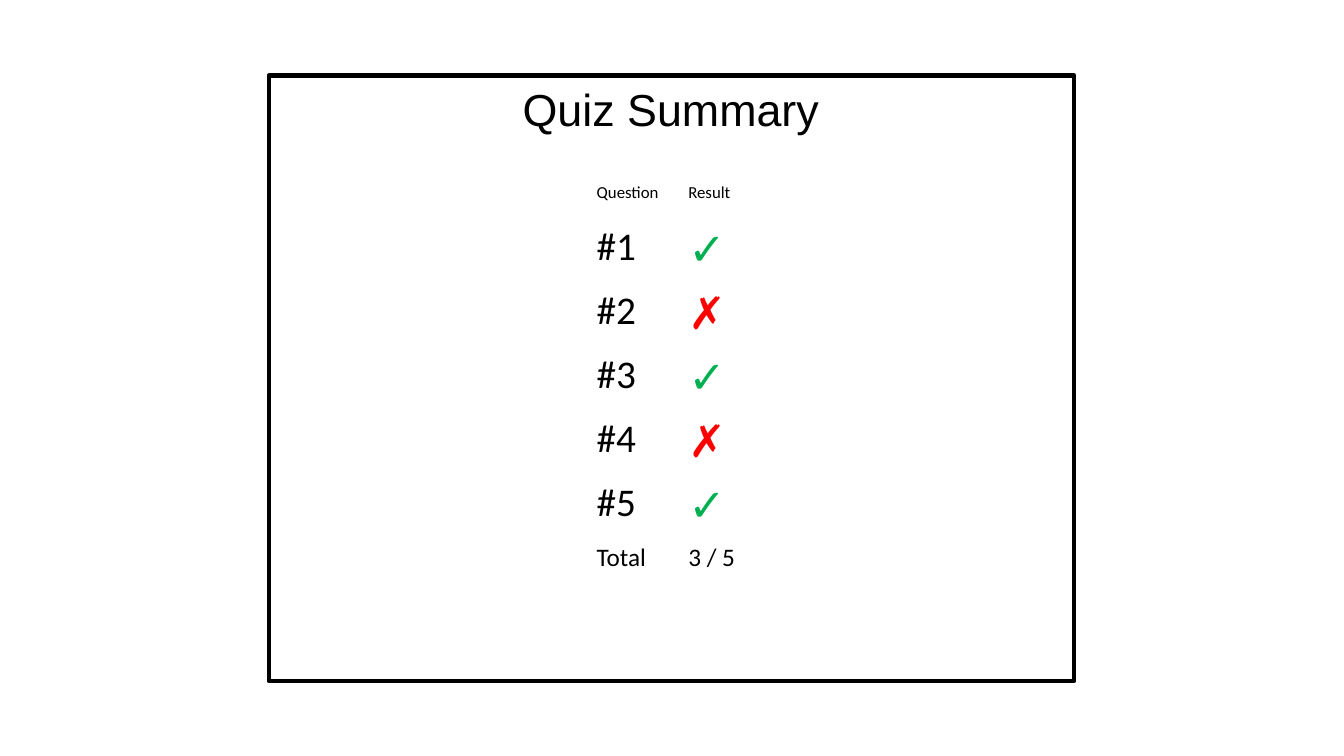
from pptx import Presentation
from pptx.dml.color import RGBColor
from pptx.enum.shapes import MSO_SHAPE as Shape
from pptx.enum.text import MSO_AUTO_SIZE as Fit, PP_ALIGN as Align
from pptx.util import Pt

BLACK = RGBColor(0x00, 0x00, 0x00)
GREEN = RGBColor(0x00, 0xB0, 0x50)
RED = RGBColor(0xFF, 0x00, 0x00)


class Page:
    """Holds the style and the current slide."""

    def __init__(self, deck):
        self.body = {"name": "Calibri", "bold": False}
        self.slide = deck.slides.add_slide(deck.slide_layouts[6])

    def label(self, para, text, size, color=BLACK, **form):
        run = para.add_run()
        run.text = text
        run.font.color.rgb = color
        for key, val in {**self.body, "size": Pt(size), **form}.items():
            setattr(run.font, key, val)

    def frame(self, box, width):
        rect = self.slide.shapes.add_shape(Shape.RECTANGLE, *map(Pt, box))
        rect.shadow.inherit = False
        rect.fill.background()
        rect.line.color.rgb = BLACK
        rect.line.width = Pt(width)

    def title(self, box, text, size):
        area = self.slide.shapes.add_textbox(*map(Pt, box)).text_frame
        form = {"word_wrap": True, "auto_size": Fit.SHAPE_TO_FIT_TEXT}
        for key, val in form.items():
            setattr(area, key, val)
        para = area.paragraphs[0]
        para.alignment = Align.CENTER
        self.label(para, text, size, name="Arial")

    def table(self, left, top, cols, high, rows):
        box = left, top, sum(cols), high * len(rows)
        grid = self.slide.shapes.add_table(
            len(rows), len(cols), *map(Pt, box)).table
        grid.first_row = grid.horz_banding = False
        for col, width in zip(grid.columns, cols):
            col.width = Pt(width)
        for line, row in zip(grid.rows, rows):
            line.height = Pt(high)
            for cell, item in zip(line.cells, row):
                cell.fill.background()
                self.label(cell.text_frame.paragraphs[0], *item)


deck = Presentation()
deck.slide_width, deck.slide_height = Pt(960), Pt(540)
page = Page(deck)

# Frame and heading
page.frame((192, 54, 575.5, 432.5), 3)
page.title((191.5, 54.5, 575.5, 46), "Quiz Summary", 32)

# Results: one row per question, then the score
marks = {True: ("✓", 32, GREEN), False: ("✗", 32, RED)}
right = [True, False, True, False, True]
rows = [
    [("Question", 12), ("Result", 12)],
    *([(f"#{num}", 28), marks[good]] for num, good in enumerate(right, 1)),
    [("Total", 18), (f"{sum(right)} / {len(right)}", 18)],
]
page.table(419, 126.7, (65.5, 95.8), 29.2, rows)

deck.save("out.pptx")
